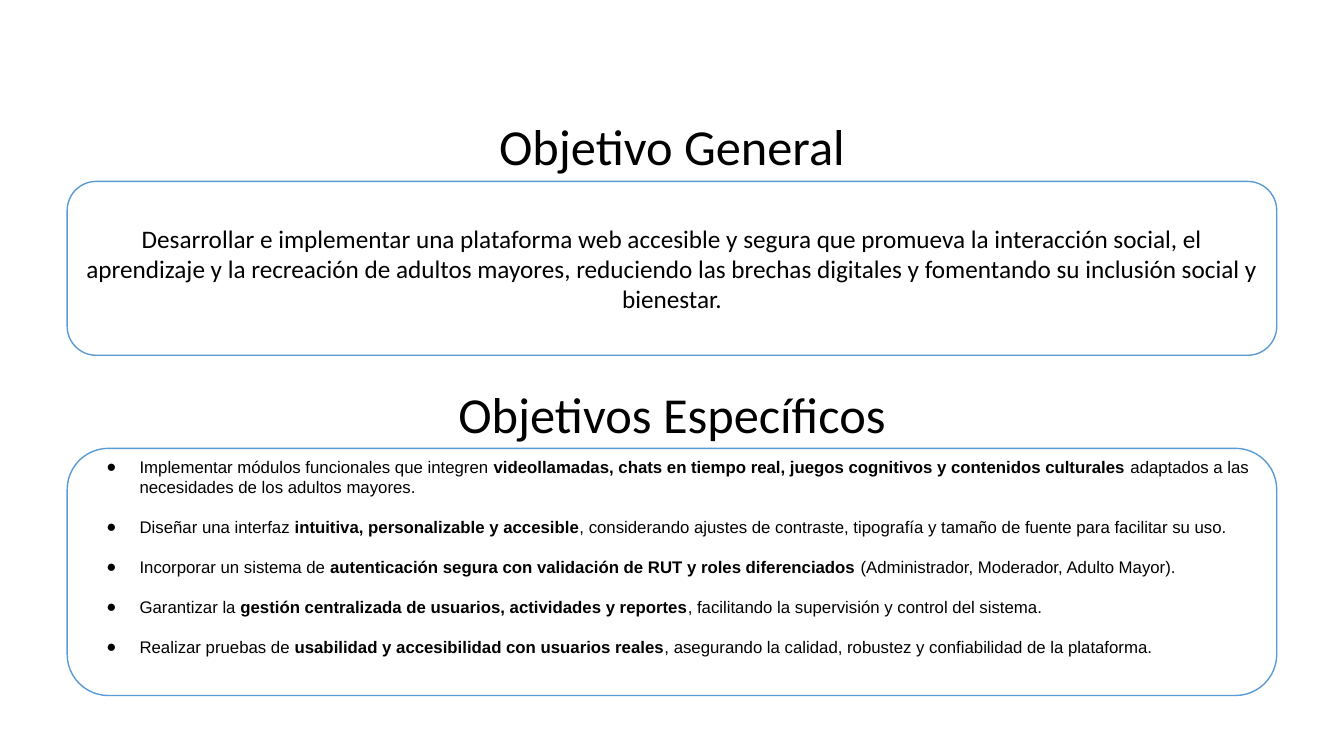
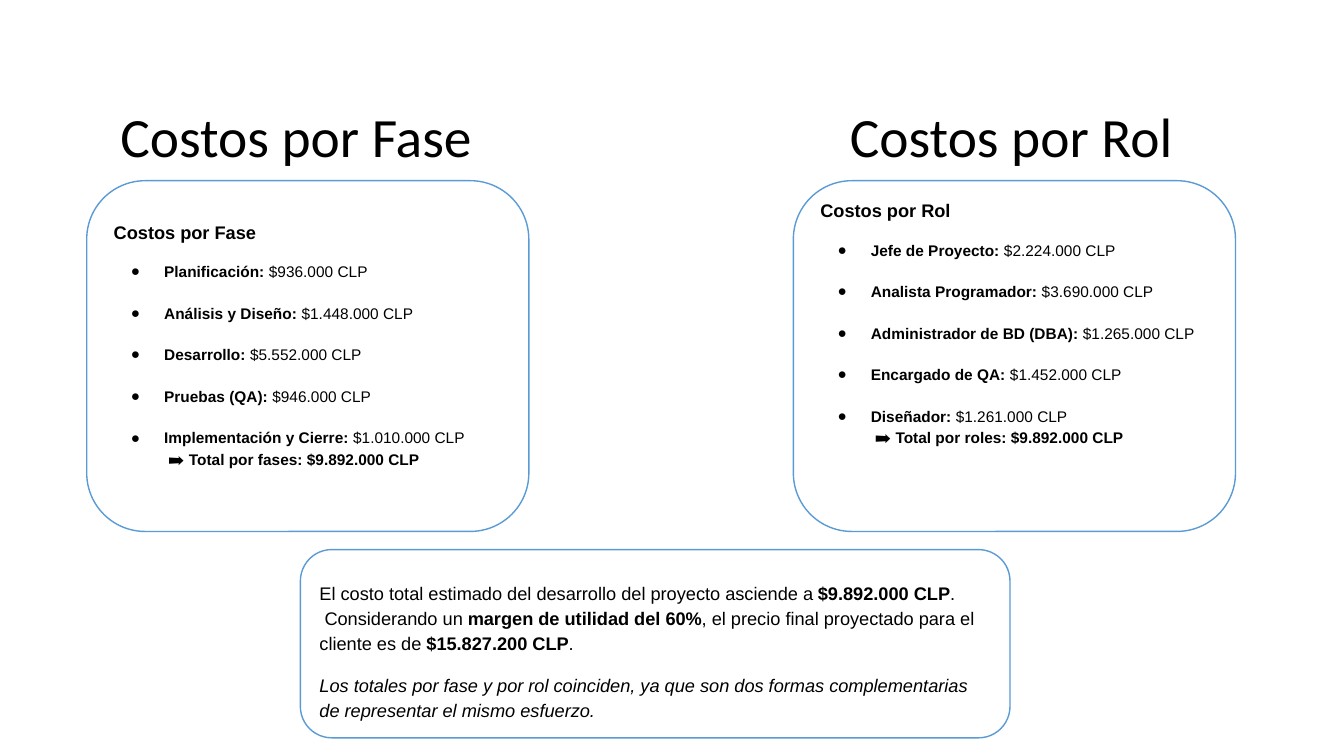
from dataclasses import dataclass

from lxml.etree import SubElement
from pptx import Presentation
from pptx.dml.color import RGBColor
from pptx.enum.shapes import MSO_SHAPE as Shape
from pptx.enum.text import MSO_ANCHOR as Anchor, MSO_AUTO_SIZE as AutoSize, PP_ALIGN as Align
from pptx.oxml.ns import qn
from pptx.util import Inches, Pt


@dataclass(frozen=True)
class Theme:
    ink: RGBColor = RGBColor(0x00, 0x00, 0x00)
    paper: RGBColor = RGBColor(0xFF, 0xFF, 0xFF)
    outline: RGBColor = RGBColor(0x5B, 0x9B, 0xD5)
    heading_font: str = "Calibri"
    body_font: str = "Arial"
    objective_heading: float = 36
    cost_heading: float = 39.6
    lead: float = 18
    lead_small: float = 13
    goal: float = 12
    cost: float = 11


theme = Theme()
deck = Presentation()
deck.slide_width, deck.slide_height = Inches(13.33), Inches(7.5)
TITLE_ONLY = deck.slide_layouts[5]


def put(slide, kind, left, top, width, height, anchor=Anchor.MIDDLE, pad=(0.05, 0.05)):
    """Place a title, a text box or a panel by percent of the slide; return its text frame."""
    place = (int(deck.slide_width * left / 100), int(deck.slide_height * top / 100),
             int(deck.slide_width * width / 100), int(deck.slide_height * height / 100))
    if kind == "title":
        item = slide.shapes.title
        item.left, item.top, item.width, item.height = place
    elif kind == "text":
        item = slide.shapes.add_textbox(*place)
    else:
        item = slide.shapes.add_shape(Shape.ROUNDED_RECTANGLE, *place)
        item.shadow.inherit = False
        item.fill.solid()
        item.fill.fore_color.rgb = theme.paper
        item.line.color.rgb = theme.outline
        item.line.width = Pt(1)
    frame = item.text_frame
    frame.word_wrap = True
    frame.auto_size = AutoSize.NONE
    frame.vertical_anchor = anchor
    frame.margin_left = frame.margin_right = Inches(0.1)
    frame.margin_top, frame.margin_bottom = (Inches(gap) for gap in pad)
    return frame


def write(frame, text, size, font=theme.body_font, align=Align.LEFT, spacing=1.0,
          before=0, indent=0, bullet=False, italic=False):
    """Add a paragraph, in which ** switches bold on and off."""
    first = frame.paragraphs[0]
    paragraph = frame.add_paragraph() if first.runs else first
    paragraph.alignment = align
    paragraph.line_spacing = spacing
    paragraph.space_before = Pt(before)
    for index, words in enumerate(text.split("**")):
        if words:
            run = paragraph.add_run()
            run.text = words
            run.font.name = font
            run.font.size = Pt(size)
            run.font.bold = index % 2 == 1
            run.font.italic = italic
            run.font.color.rgb = theme.ink
    props = paragraph._p.get_or_add_pPr()
    props.set("marL", str(Inches(indent)))
    props.set("indent", str(Inches(-0.33 if bullet else 0)))
    if bullet:
        color = SubElement(props, qn("a:buClr"))
        SubElement(color, qn("a:srgbClr")).set("val", str(theme.ink))
        SubElement(props, qn("a:buFont")).set("typeface", font)
        SubElement(props, qn("a:buChar")).set("char", "●")


# Objectives
objectives = deck.slides.add_slide(TITLE_ONLY)
general = put(objectives, "panel", 5, 24, 90, 23)
write(general, "Desarrollar e implementar una plataforma web accesible y segura que promueva la "
      "interacción social, el aprendizaje y la recreación de adultos mayores, reduciendo las "
      "brechas digitales y fomentando su inclusión social y bienestar.",
      theme.lead, theme.heading_font, Align.CENTER)

goals = [
    "Implementar módulos funcionales que integren **videollamadas, chats en tiempo real, juegos "
    "cognitivos y contenidos culturales** adaptados a las necesidades de los adultos mayores.",
    "Diseñar una interfaz **intuitiva, personalizable y accesible**, considerando ajustes de "
    "contraste, tipografía y tamaño de fuente para facilitar su uso.",
    "Incorporar un sistema de **autenticación segura con validación de RUT y roles "
    "diferenciados** (Administrador, Moderador, Adulto Mayor).",
    "Garantizar la **gestión centralizada de usuarios, actividades y reportes**, facilitando la "
    "supervisión y control del sistema.",
    "Realizar pruebas de **usabilidad y accesibilidad con usuarios reales**, asegurando la "
    "calidad, robustez y confiabilidad de la plataforma.",
]
specific = put(objectives, "panel", 5, 59.3, 90, 32.7, pad=(0.05, 0.35))
for index, goal in enumerate(goals):
    write(specific, goal, theme.goal, before=14 if index else 0, indent=0.5, bullet=True)

for kind, heading, top in [("title", "Objetivo General", 14.5),
                           ("text", "Objetivos Específicos", 50)]:
    write(put(objectives, kind, 1, top, 98, 9.5, Anchor.TOP), heading,
          theme.objective_heading, theme.heading_font, Align.CENTER)

# Costs
costs = deck.slides.add_slide(TITLE_ONLY)
breakdowns = [
    ("title", "Costos por Fase", 8.2, 6.45, 0.31, [
        ("Planificación", "936.000"),
        ("Análisis y Diseño", "1.448.000"),
        ("Desarrollo", "5.552.000"),
        ("Pruebas (QA)", "946.000"),
        ("Implementación y Cierre", "1.010.000"),
    ], "Total por fases"),
    ("text", "Costos por Rol", 62.5, 59.03, 0.74, [
        ("Jefe de Proyecto", "2.224.000"),
        ("Analista Programador", "3.690.000"),
        ("Administrador de BD (DBA)", "1.265.000"),
        ("Encargado de QA", "1.452.000"),
        ("Diseñador", "1.261.000"),
    ], "Total por roles"),
]
for kind, heading, heading_left, panel_left, pad_below, entries, total in breakdowns:
    write(put(costs, kind, heading_left, 14.15, 29.4, 8.5), heading,
          theme.cost_heading, theme.heading_font, spacing=0.9)
    breakdown = put(costs, "panel", panel_left, 23.9, 32.9, 46.4, pad=(0.05, pad_below))
    write(breakdown, f"**{heading}**", theme.lead_small, spacing=1.15)
    for index, (concept, amount) in enumerate(entries):
        write(breakdown, f"**{concept}:** ${amount} CLP", theme.cost, spacing=1.15,
              before=14.5 if index else 12, indent=0.5, bullet=True)
    write(breakdown, f" ➡️ **{total}: $9.892.000 CLP**", theme.cost, spacing=1.15, indent=0.5)

summary = put(costs, "panel", 22.35, 72.7, 52.8, 24.9, pad=(0.17, 0.05))
for text, before, italic in [
    ("El costo total estimado del desarrollo del proyecto asciende a **$9.892.000 CLP**.", 0, False),
    (" Considerando un **margen de utilidad del 60%**, el precio final proyectado para el "
     "cliente es de **$15.827.200 CLP**.", 0, False),
    ("Los totales por fase y por rol coinciden, ya que son dos formas complementarias de "
     "representar el mismo esfuerzo.", 12, True),
]:
    write(summary, text, theme.lead_small, spacing=1.15, before=before, italic=italic)

deck.save("out.pptx")
